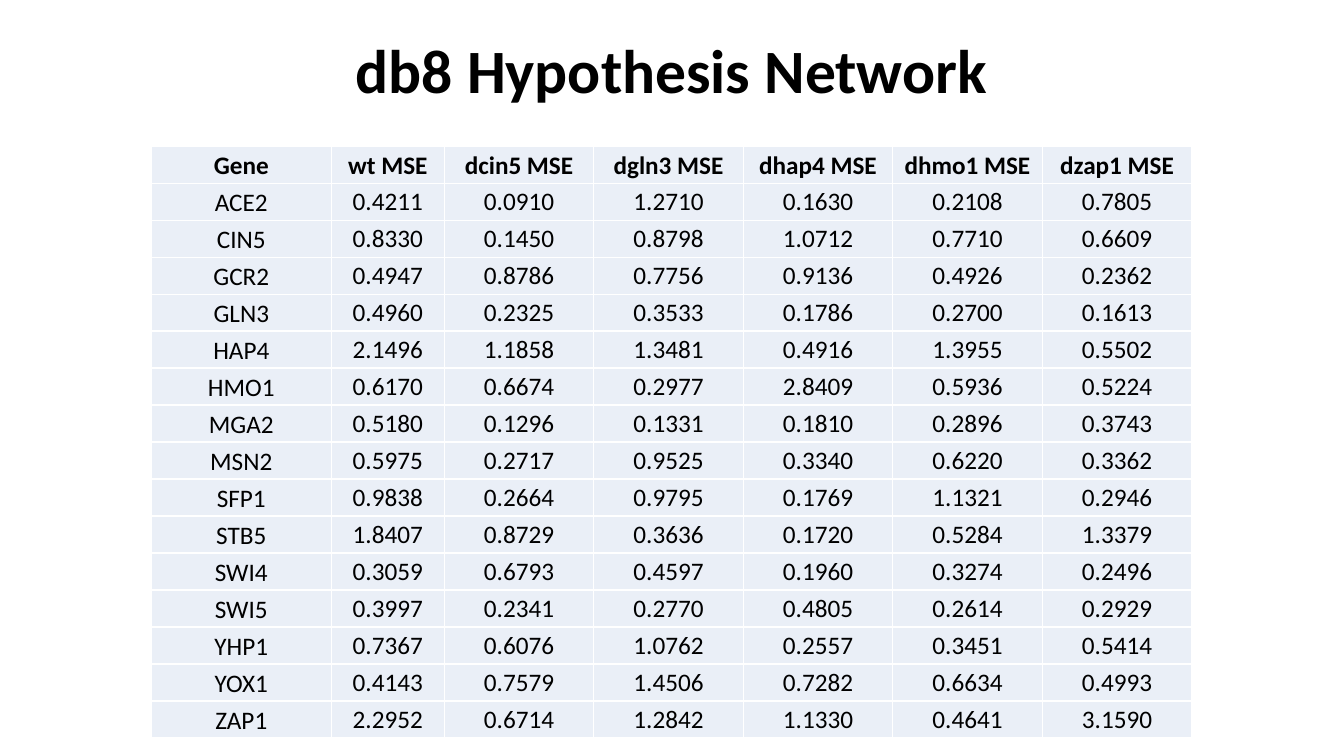
from dataclasses import dataclass

from lxml import etree
from pptx import Presentation
from pptx.dml.color import RGBColor
from pptx.enum.text import MSO_ANCHOR, PP_ALIGN
from pptx.oxml.ns import qn
from pptx.util import Pt

CENTER = PP_ALIGN.CENTER
MIDDLE = MSO_ANCHOR.MIDDLE

FONT = "Calibri"
BLACK, WHITE, PALE_BLUE = "000000", "FFFFFF", "EAEFF7"
TABLE_LEFT, TABLE_TOP, ROW_HEIGHT = 108, 104.4, 26.42
COLUMN_WIDTHS = [128.7, 80.7] + [106.8] * 5
HEADINGS = ["Gene", "wt MSE", "dcin5 MSE", "dgln3 MSE", "dhap4 MSE",
            "dhmo1 MSE", "dzap1 MSE"]


@dataclass
class GeneErrors:
    gene: str
    errors: tuple[float, ...]

    def texts(self) -> list[str]:
        return [self.gene] + [f"{error:.4f}" for error in self.errors]


GENES = [
    GeneErrors("ACE2", (0.4211, 0.0910, 1.2710, 0.1630, 0.2108, 0.7805)),
    GeneErrors("CIN5", (0.8330, 0.1450, 0.8798, 1.0712, 0.7710, 0.6609)),
    GeneErrors("GCR2", (0.4947, 0.8786, 0.7756, 0.9136, 0.4926, 0.2362)),
    GeneErrors("GLN3", (0.4960, 0.2325, 0.3533, 0.1786, 0.2700, 0.1613)),
    GeneErrors("HAP4", (2.1496, 1.1858, 1.3481, 0.4916, 1.3955, 0.5502)),
    GeneErrors("HMO1", (0.6170, 0.6674, 0.2977, 2.8409, 0.5936, 0.5224)),
    GeneErrors("MGA2", (0.5180, 0.1296, 0.1331, 0.1810, 0.2896, 0.3743)),
    GeneErrors("MSN2", (0.5975, 0.2717, 0.9525, 0.3340, 0.6220, 0.3362)),
    GeneErrors("SFP1", (0.9838, 0.2664, 0.9795, 0.1769, 1.1321, 0.2946)),
    GeneErrors("STB5", (1.8407, 0.8729, 0.3636, 0.1720, 0.5284, 1.3379)),
    GeneErrors("SWI4", (0.3059, 0.6793, 0.4597, 0.1960, 0.3274, 0.2496)),
    GeneErrors("SWI5", (0.3997, 0.2341, 0.2770, 0.4805, 0.2614, 0.2929)),
    GeneErrors("YHP1", (0.7367, 0.6076, 1.0762, 0.2557, 0.3451, 0.5414)),
    GeneErrors("YOX1", (0.4143, 0.7579, 1.4506, 0.7282, 0.6634, 0.4993)),
    GeneErrors("ZAP1", (2.2952, 0.6714, 1.2842, 1.1330, 0.4641, 3.1590)),
]


def color(value: str) -> RGBColor:
    return RGBColor.from_string(value)


def write(tf, text: str, *, size: float, bold: bool = False,
          line_spacing: float = 1.0) -> None:
    p = tf.paragraphs[0]
    p.alignment = CENTER
    p.line_spacing = line_spacing
    r = p.add_run()
    r.text = text
    r.font.name = FONT
    r.font.size = Pt(size)
    r.font.bold = bold
    r.font.color.rgb = color(BLACK)


def add_borders(cell, value: str, width: float) -> None:
    tc_pr = cell._tc.get_or_add_tcPr()
    for side in ("a:lnL", "a:lnR", "a:lnT", "a:lnB"):
        line = etree.SubElement(tc_pr, qn(side), w=str(Pt(width)))
        fill = etree.SubElement(line, qn("a:solidFill"))
        etree.SubElement(fill, qn("a:srgbClr"), val=value)


def draw_cell(cell, text: str, *, bold: bool, inset: float) -> None:
    add_borders(cell, WHITE, 1)
    cell.fill.solid()
    cell.fill.fore_color.rgb = color(PALE_BLUE)
    cell.vertical_anchor = MIDDLE
    cell.margin_left = cell.margin_right = cell.margin_top = Pt(inset)
    cell.margin_bottom = Pt(0)
    write(cell.text_frame, text, size=18, bold=bold)


def draw_title(slide, text: str) -> None:
    title = slide.shapes.title
    title.left, title.top = Pt(66), Pt(0)
    title.width, title.height = Pt(828), Pt(104.4)
    title.text_frame.vertical_anchor = MIDDLE
    title.text_frame.word_wrap = True
    write(title.text_frame, text, size=44, bold=True, line_spacing=0.9)


def draw_table(slide, rows: list[list[str]]) -> None:
    table = slide.shapes.add_table(
        len(rows), len(COLUMN_WIDTHS), Pt(TABLE_LEFT), Pt(TABLE_TOP),
        Pt(sum(COLUMN_WIDTHS)), Pt(ROW_HEIGHT * len(rows))).table
    table.horz_banding = False
    for column, width in zip(table.columns, COLUMN_WIDTHS):
        column.width = Pt(width)
    for i, texts in enumerate(rows):
        table.rows[i].height = Pt(ROW_HEIGHT)
        for j, text in enumerate(texts):
            is_label = i == 0 or j == 0
            draw_cell(table.cell(i, j), text, bold=i == 0,
                      inset=1.44 if is_label else 0.72)


def main() -> None:
    prs = Presentation()
    prs.slide_width, prs.slide_height = Pt(960), Pt(540)
    slide = prs.slides.add_slide(prs.slide_layouts.get_by_name("Title Only"))

    # Title
    draw_title(slide, "db8 Hypothesis Network")

    # Errors by gene and strain
    draw_table(slide, [HEADINGS] + [gene.texts() for gene in GENES])

    prs.save("out.pptx")


if __name__ == "__main__":
    main()
